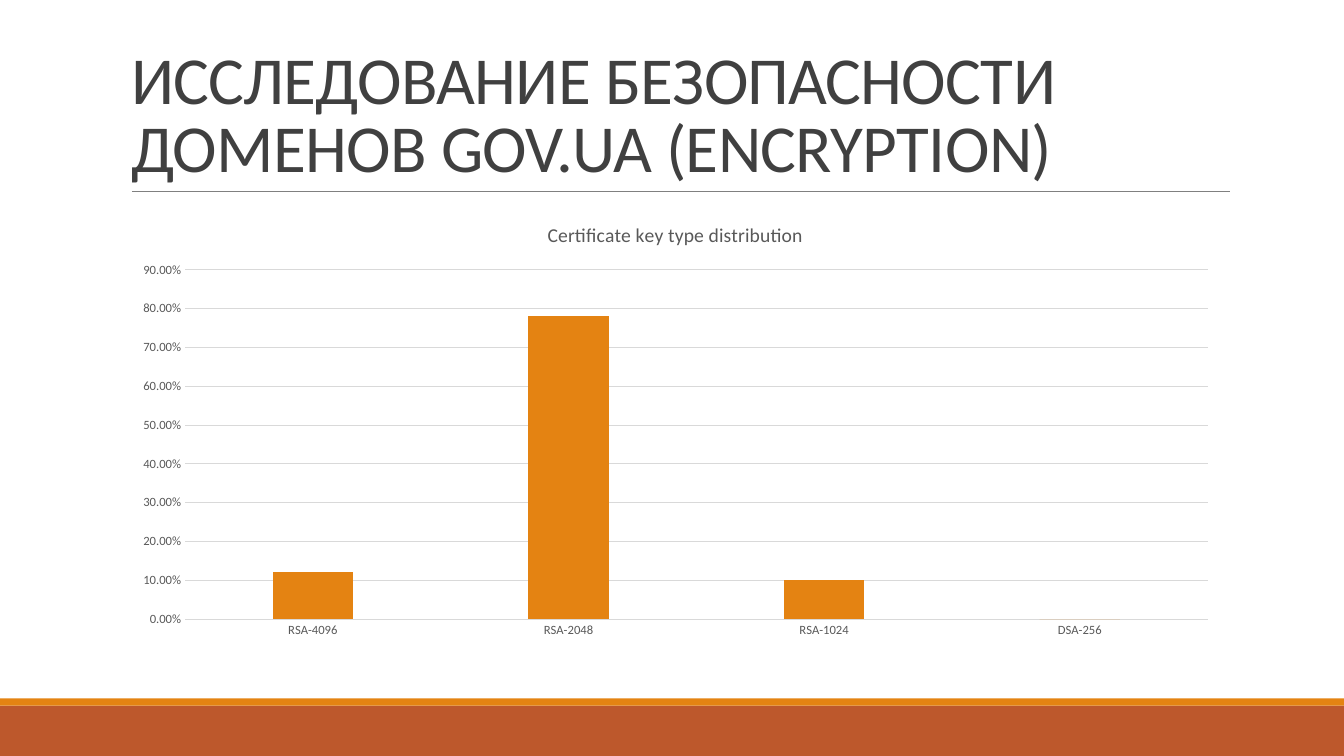
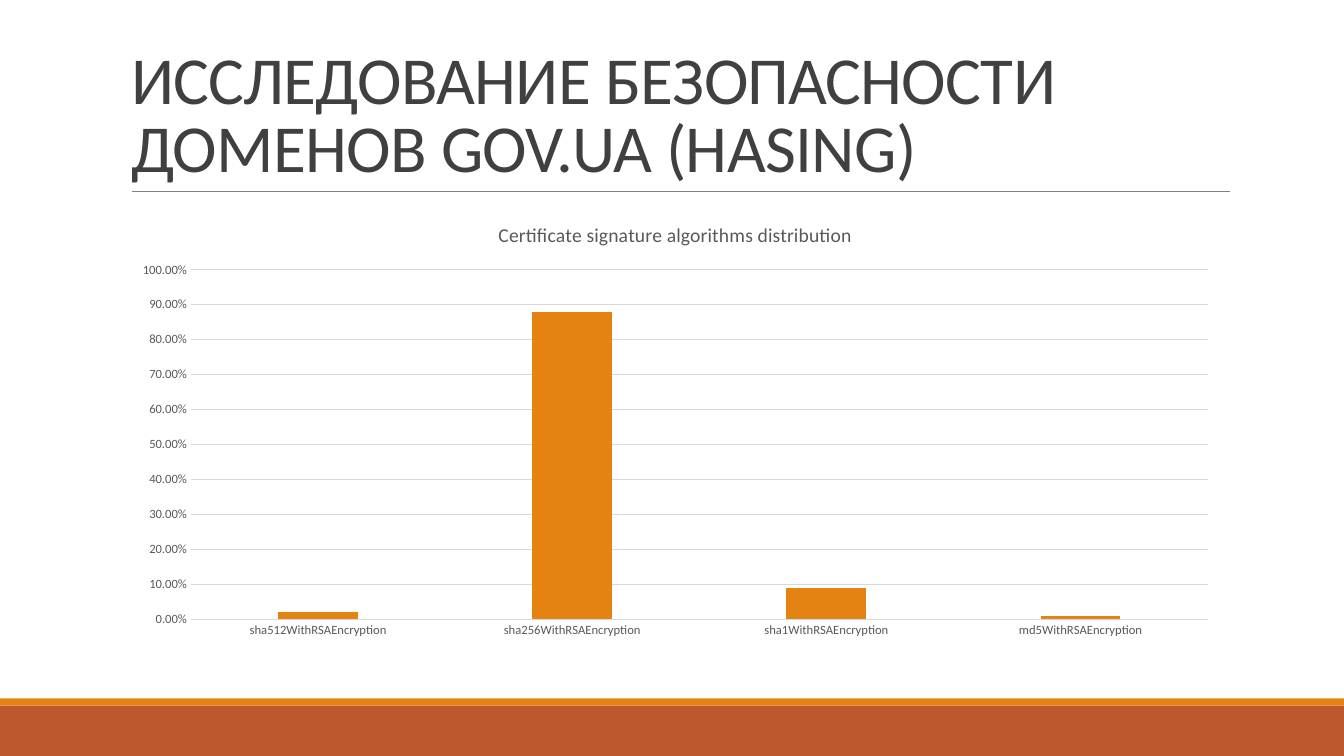
from dataclasses import dataclass

from lxml import etree
from pptx import Presentation
from pptx.chart.data import CategoryChartData
from pptx.dml.color import RGBColor
from pptx.enum.chart import XL_CHART_TYPE as ChartType, XL_TICK_MARK as TickMark
from pptx.enum.shapes import MSO_CONNECTOR as Connector, MSO_SHAPE as Shape
from pptx.enum.text import MSO_ANCHOR as Anchor, MSO_AUTO_SIZE as AutoSize, PP_ALIGN as Align
from pptx.oxml.ns import qn
from pptx.util import Pt


@dataclass(frozen=True)
class Theme:
    font: str = "Calibri"
    white: RGBColor = RGBColor(0xFF, 0xFF, 0xFF)
    accent: RGBColor = RGBColor(0xE4, 0x83, 0x12)
    footer: RGBColor = RGBColor(0xBD, 0x58, 0x2C)
    rule: RGBColor = RGBColor(0x80, 0x80, 0x80)
    title: RGBColor = RGBColor(0x40, 0x40, 0x40)
    label: RGBColor = RGBColor(0x59, 0x59, 0x59)
    grid: RGBColor = RGBColor(0xD9, 0xD9, 0xD9)
    title_size: float = 48
    title_spacing: int = -45
    chart_title_size: float = 14
    chart_size: float = 10
    axis_size: float = 9
    rule_width: float = 0.5
    grid_width: float = 0.75


@dataclass(frozen=True)
class Box:
    left: float
    top: float
    width: float
    height: float

    def lengths(self):
        return Pt(self.left), Pt(self.top), Pt(self.width), Pt(self.height)


THEME = Theme()
PAGE = Box(0, 0, 960, 540)
TITLE = Box(86.4, 22.6, 792, 114.2)
CHART = Box(86.4, 145.4, 792, 316.8)
FOOTER_HEIGHT = 36
STRIPE_HEIGHT = 5.04
RULE_INSET = 7.9
PLOT_TOP = 47.4
PLOT_RIGHT_GAP = 15.8
PLOT_BOTTOM_GAP = 19.9

CHART_PAGES = (
    {
        "topic": "ENCRYPTION",
        "heading": "Certificate key type distribution",
        "values": {"RSA-4096": 0.12, "RSA-2048": 0.78, "RSA-1024": 0.1, "DSA-256": 0},
        "top_value": 0.9,
        "plot_left": 45.8,
    },
    {
        "topic": "HASING",
        "heading": "Certificate signature algorithms distribution",
        "values": {
            "sha512WithRSAEncryption": 0.02,
            "sha256WithRSAEncryption": 0.88,
            "sha1WithRSAEncryption": 0.09,
            "md5WithRSAEncryption": 0.01,
        },
        "top_value": 1,
        "plot_left": 50,
    },
)


def style_font(font, size, color):
    font.name = THEME.font
    font.size = Pt(size)
    font.bold = False
    font.color.rgb = color


def add_band(page, box, color):
    band = page.shapes.add_shape(Shape.RECTANGLE, *box.lengths())
    band.shadow.inherit = False
    band.fill.solid()
    band.fill.fore_color.rgb = color
    band.line.fill.background()
    return band


def add_rule(page, box):
    y = Pt(box.top + box.height)
    start = Pt(box.left + RULE_INSET)
    end = Pt(box.left + box.width)
    rule = page.shapes.add_connector(Connector.STRAIGHT, start, y, end, y)
    rule.line.color.rgb = THEME.rule
    rule.line.width = Pt(THEME.rule_width)
    etree.SubElement(rule.element.spPr, qn("a:effectLst"))
    return rule


def furnish_master(master, page, box):
    master.background.fill.solid()
    master.background.fill.fore_color.rgb = THEME.white
    footer_top = box.height - FOOTER_HEIGHT
    footer = Box(box.left, footer_top, box.width, FOOTER_HEIGHT)
    stripe = Box(box.left, footer_top - STRIPE_HEIGHT, box.width, STRIPE_HEIGHT)
    parts = (
        add_band(page, footer, THEME.footer),
        add_band(page, stripe, THEME.accent),
        add_rule(page, TITLE),
    )
    first = master.placeholders[0].element
    for number, part in enumerate(parts, start=101):
        part.element.xpath(".//p:cNvPr")[0].set("id", str(number))
        first.addprevious(part.element)


def write_title(page, box, text):
    title = page.shapes.title
    title.left, title.top, title.width, title.height = box.lengths()
    frame = title.text_frame
    frame.word_wrap = True
    frame.auto_size = AutoSize.NONE
    frame.vertical_anchor = Anchor.BOTTOM
    para = frame.paragraphs[0]
    para.alignment = Align.LEFT
    para.line_spacing = 0.85
    span = para.add_run()
    span.text = text
    style_font(span.font, THEME.title_size, THEME.title)
    title.element.xpath(".//a:rPr")[0].set("spc", str(THEME.title_spacing))


def place_plot(chart, box, left):
    area = chart.element.find(".//" + qn("c:plotArea"))
    layout = area.find(qn("c:layout"))
    if layout is None:
        layout = etree.Element(qn("c:layout"))
        area.insert(0, layout)
    manual = etree.SubElement(layout, qn("c:manualLayout"))
    settings = {
        "layoutTarget": "inner",
        "xMode": "edge",
        "yMode": "edge",
        "x": left / box.width,
        "y": PLOT_TOP / box.height,
        "w": (box.width - left - PLOT_RIGHT_GAP) / box.width,
        "h": (box.height - PLOT_TOP - PLOT_BOTTOM_GAP) / box.height,
    }
    for tag, value in settings.items():
        etree.SubElement(manual, qn("c:" + tag)).set("val", str(value))


def style_axes(chart, top_value):
    for axis in (chart.category_axis, chart.value_axis):
        axis.major_tick_mark = TickMark.NONE
        axis.minor_tick_mark = TickMark.NONE
        style_font(axis.tick_labels.font, THEME.axis_size, THEME.label)
    values = chart.value_axis
    values.minimum_scale = 0
    values.maximum_scale = top_value
    values.major_unit = 0.1
    values.tick_labels.number_format = "0.00%"
    values.tick_labels.number_format_is_linked = False
    values.format.line.fill.background()
    for line in (chart.category_axis.format.line, values.major_gridlines.format.line):
        line.color.rgb = THEME.grid
        line.width = Pt(THEME.grid_width)


def add_column_chart(page, box, heading, values, top_value, plot_left):
    data = CategoryChartData(number_format="0.00%")
    data.categories = list(values)
    data.add_series("Series 1", list(values.values()))
    chart = page.shapes.add_chart(ChartType.COLUMN_CLUSTERED, *box.lengths(), data).chart
    chart.has_legend = False
    chart.font.name = THEME.font
    chart.font.size = Pt(THEME.chart_size)
    chart.has_title = True
    chart.chart_title.include_in_layout = False
    span = chart.chart_title.text_frame.paragraphs[0].add_run()
    span.text = heading
    style_font(span.font, THEME.chart_title_size, THEME.label)
    columns = chart.plots[0]
    columns.gap_width = 219
    columns.overlap = -27
    columns.vary_by_categories = False
    fill = columns.series[0].format.fill
    fill.solid()
    fill.fore_color.rgb = THEME.accent
    style_axes(chart, top_value)
    place_plot(chart, box, plot_left)


def build_chart_page(page, topic, **chart_parts):
    write_title(page, TITLE, f"ИССЛЕДОВАНИЕ БЕЗОПАСНОСТИ ДОМЕНОВ GOV.UA ({topic})")
    add_column_chart(page, CHART, **chart_parts)


def main():
    deck = Presentation()
    deck.slide_width, deck.slide_height = Pt(PAGE.width), Pt(PAGE.height)
    title_only = deck.slide_layouts[5]
    pages = [deck.slides.add_slide(title_only) for _ in CHART_PAGES]
    furnish_master(deck.slide_master, pages[0], PAGE)
    for page, content in zip(pages, CHART_PAGES):
        build_chart_page(page, **content)
    deck.save("out.pptx")


if __name__ == "__main__":
    main()
